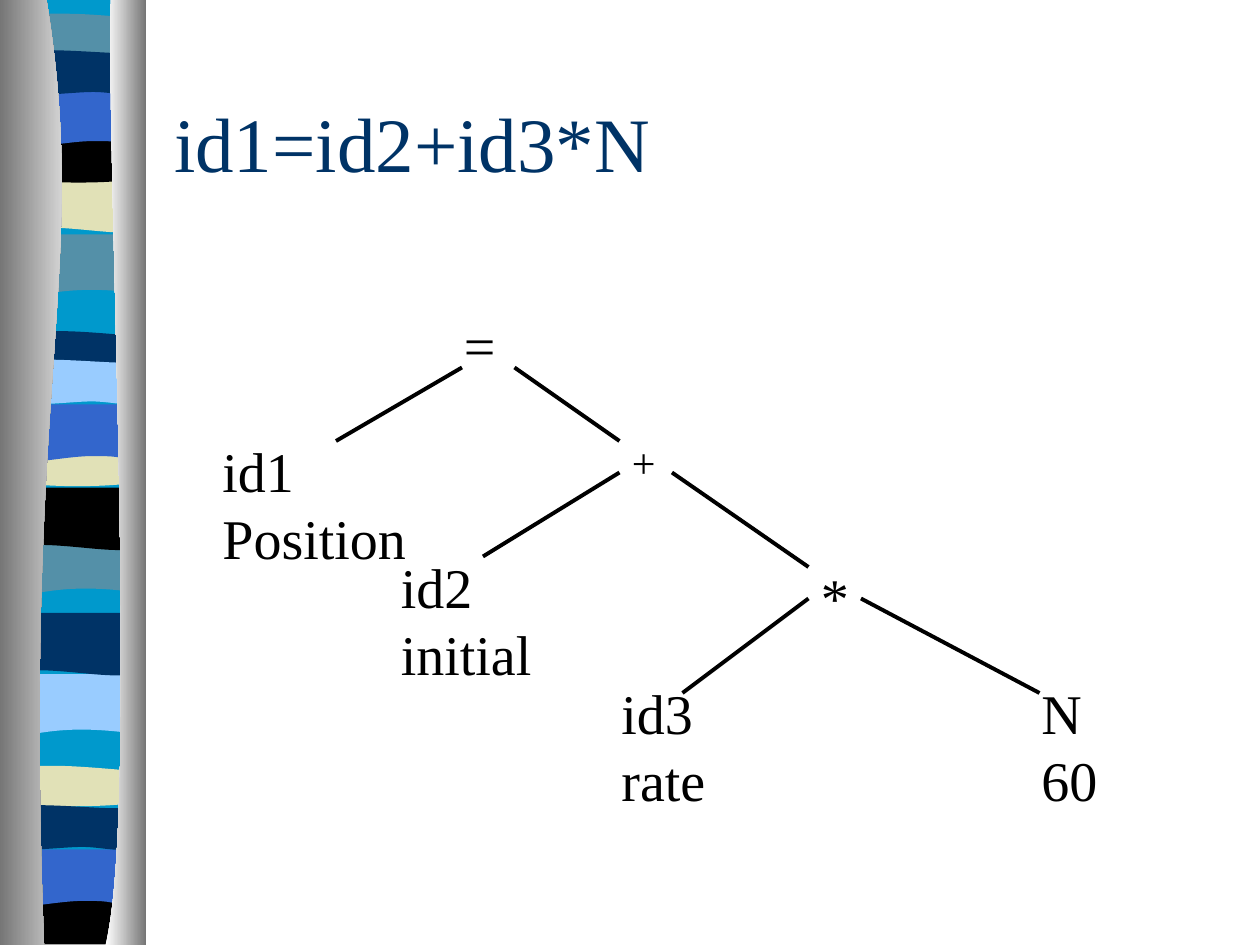
from dataclasses import dataclass

from lxml.etree import SubElement
from pptx import Presentation
from pptx.dml.color import RGBColor
from pptx.enum.shapes import MSO_CONNECTOR
from pptx.enum.text import MSO_ANCHOR
from pptx.oxml.ns import qn
from pptx.util import Pt

COLORS = {
    "paper": "FFFFFF", "black": "000000", "navy": "003366", "blue": "3366CC",
    "cyan": "0099CC", "steel": "5490A8", "beige": "E1E1B7", "sky": "99CCFF",
    "grey": "767676",
}
FONT = "Times New Roman"

# Outlines in points: a pair is a straight step, six numbers are a Bezier step.
OUTLINES = {
    "drop": [(70.6, 0), (70.6, 33.7), (21.6, 27.4, 12.2, 38.9, 0, 33.7), (0, 0)],
    "slope": [(70.6, 0), (70.6, 34), (59, 39.6, 21.8, 29.5, 0, 34), (0, 0)],
    "lens": [(70.6, 3.6), (70.6, 21.6), (59, 24.5, 11.5, 24.5, 0, 21.6), (0, 3.6),
             (4.5, 0, 15.3, 0.7, 27.2, 0.7), (38.7, 0.7, 61.9, 2.9, 70.6, 3.6)],
    "bowl": [(70.6, 0), (70.6, 23.8), (59, 27.4, 12, 27.4, 0, 23.8), (0, 0),
             (43.9, 3.6, 56.2, 0, 70.6, 0)],
    "arch": [(70.6, 0), (70.6, 33.6), (59.8, 29.5, 55.4, 29.5, 43.8, 29.5),
             (31.7, 29.5, 10.8, 33.6, 0, 33.6), (0, 0)],
    "ribbon": [(71, 3.8), (71, 26), (66.2, 29.6, 55.4, 26, 43.8, 26),
               (31.7, 26, 7.2, 29.6, 0, 26), (0, 3.8),
               (10, 0, 48.2, 3.8, 59.8, 3.8), (71, 3.8)],
    "foot": [(70.6, 0), (70.6, 27), (0, 27), (0, 0), (43.9, 3.6, 56.2, 0, 70.6, 0)],
    "backing": [(70.6, 0), (70.6, 538), (0, 538), (0, 0)],
    "left column": [(26.6, 0), (51.8, 155.5, 12.6, 213.1, 25.2, 540), (0, 540), (0, 0)],
    "right column": [(63.4, 0), (60.5, 90, 79.9, 465.1, 60.3, 540), (83.5, 540), (83.5, 0)],
}


@dataclass(frozen=True)
class Band:
    outline: str
    color: str
    left: float
    top: float


@dataclass(frozen=True)
class Label:
    text: str
    left: float
    top: float
    width: float
    height: float
    size: float = 32
    color: str = "black"
    space_before: float = 20
    anchor: MSO_ANCHOR = MSO_ANCHOR.TOP


@dataclass(frozen=True)
class Branch:
    x1: float
    y1: float
    x2: float
    y2: float


BANDS = [
    Band("backing", "cyan", 10, 0),
    Band("drop", "steel", 9.4, 133.9),
    Band("slope", "beige", 12.2, 97.2),
    Band("lens", "steel", 12.2, 7.2),
    Band("bowl", "black", 9.4, 77.8),
    Band("arch", "blue", 9.4, 51.1),
    Band("ribbon", "navy", 9.4, 26.6),
    Band("drop", "steel", 6, 304.6),
    Band("slope", "black", 8.8, 278.6),
    Band("lens", "navy", 8.8, 188.6),
    Band("bowl", "beige", 8.8, 251.3),
    Band("arch", "blue", 8.8, 231.1),
    Band("ribbon", "sky", 8.6, 203.4),
    Band("drop", "sky", 3.6, 385.2),
    Band("slope", "navy", 7.2, 350.2),
    Band("lens", "beige", 6, 437),
    Band("foot", "black", 5.8, 512.6),
    Band("arch", "blue", 3.6, 485.3),
    Band("ribbon", "navy", 3, 458),
]
COLUMNS = {
    "left column": ("grey", "paper"),
    "right column": ("paper", "grey"),
}
LABELS = [
    Label("id1=id2+id3*N", 92.4, 36, 612, 90, size=44, color="navy",
          space_before=0, anchor=MSO_ANCHOR.MIDDLE),
    Label("=", 258, 174, 48, 46),
    Label("+", 354, 246, 48, 36, size=24, space_before=15),
    Label("N 60", 588, 384, 48, 84),
    Label("*", 462, 318, 48, 46),
    Label("id1 Position", 120, 246, 120, 84),
    Label("id2 initial", 222, 312, 90, 84),
    Label("id3 rate", 348, 384, 66, 84),
]
BRANCHES = [
    Branch(192, 252, 264, 210),
    Branch(294, 210, 354, 252),
    Branch(354, 270, 276, 318),
    Branch(384, 270, 462, 324),
    Branch(492, 342, 594, 396),
    Branch(462, 342, 390, 396),
]


def bend(shape, steps: list) -> None:
    """Join the three straight segments of each Bezier step into one curve."""
    path = next(shape._element.iter(qn("a:path")))
    segments = iter(path.findall(qn("a:lnTo")))
    for step in steps:
        segment = next(segments)
        if len(step) == 6:
            segment.tag = qn("a:cubicBezTo")
            for _ in range(2):
                follower = next(segments)
                segment.append(follower[0])
                path.remove(follower)


def draw_outline(slide, outline: str, left: float = 0, top: float = 0):
    steps = OUTLINES[outline]
    corners = [(Pt(left + step[i]), Pt(top + step[i + 1]))
               for step in steps for i in range(0, len(step), 2)]
    builder = slide.shapes.build_freeform(*corners[0])
    builder.add_line_segments(corners[1:], close=True)
    shape = builder.convert_to_shape()
    bend(shape, steps[1:])
    shape.shadow.inherit = False
    shape.line.fill.background()
    return shape


def draw_band(slide, band: Band) -> None:
    fill = draw_outline(slide, band.outline, band.left, band.top).fill
    fill.solid()
    fill.fore_color.rgb = rgb(band.color)


def draw_column(slide, outline: str, shades: tuple) -> None:
    fill = draw_outline(slide, outline).fill
    fill.gradient()
    fill.gradient_angle = 0
    for stop, shade in zip(fill.gradient_stops, shades):
        stop.color.rgb = rgb(shade)


def rgb(name: str) -> RGBColor:
    return RGBColor.from_string(COLORS[name])


def draw_label(slide, label: Label) -> None:
    box = slide.shapes.add_textbox(Pt(label.left), Pt(label.top), Pt(label.width), Pt(label.height))
    frame = box.text_frame
    frame.text = label.text
    paragraph = frame.paragraphs[0]
    formats = [
        (frame, {"word_wrap": True, "vertical_anchor": label.anchor}),
        (paragraph, {"space_before": Pt(label.space_before)}),
        (paragraph.runs[0].font, {"name": FONT, "size": Pt(label.size)}),
        (paragraph.runs[0].font.color, {"rgb": rgb(label.color)}),
    ]
    for target, values in formats:
        for attribute, value in values.items():
            setattr(target, attribute, value)


def draw_branch(slide, branch: Branch) -> None:
    line = slide.shapes.add_connector(MSO_CONNECTOR.STRAIGHT, Pt(branch.x1), Pt(branch.y1),
                                      Pt(branch.x2), Pt(branch.y2))
    line.line.width = Pt(2.25)
    line.line.color.rgb = rgb("black")
    SubElement(line._element.spPr, qn("a:effectLst"))


def main() -> None:
    deck = Presentation()
    deck.slide_width, deck.slide_height = Pt(720), Pt(540)
    slide = deck.slides.add_slide(deck.slide_layouts[6])
    for band in BANDS:
        draw_band(slide, band)
    for outline, shades in COLUMNS.items():
        draw_column(slide, outline, shades)
    for label in LABELS:
        draw_label(slide, label)
    for branch in BRANCHES:
        draw_branch(slide, branch)
    deck.save("out.pptx")


if __name__ == "__main__":
    main()
